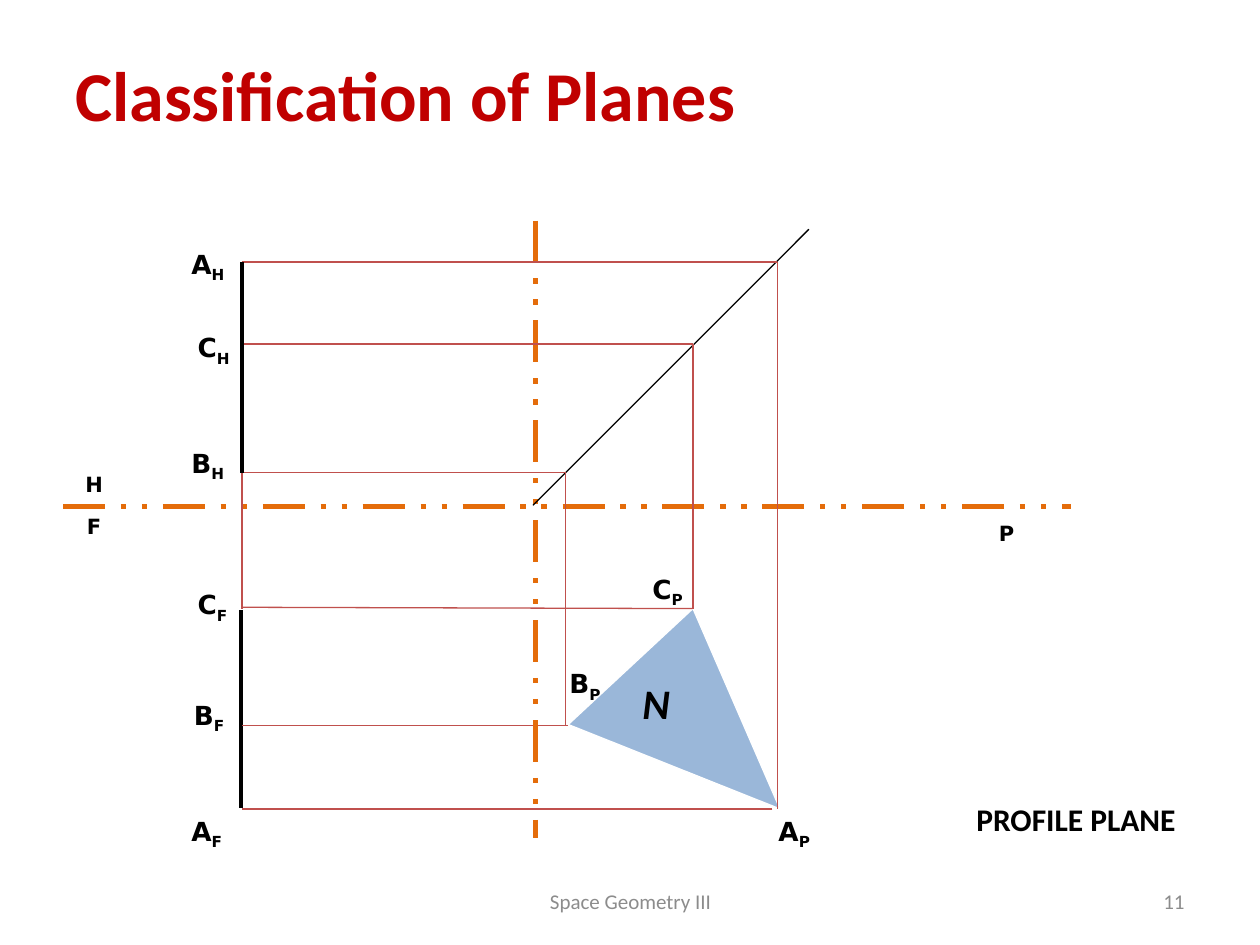
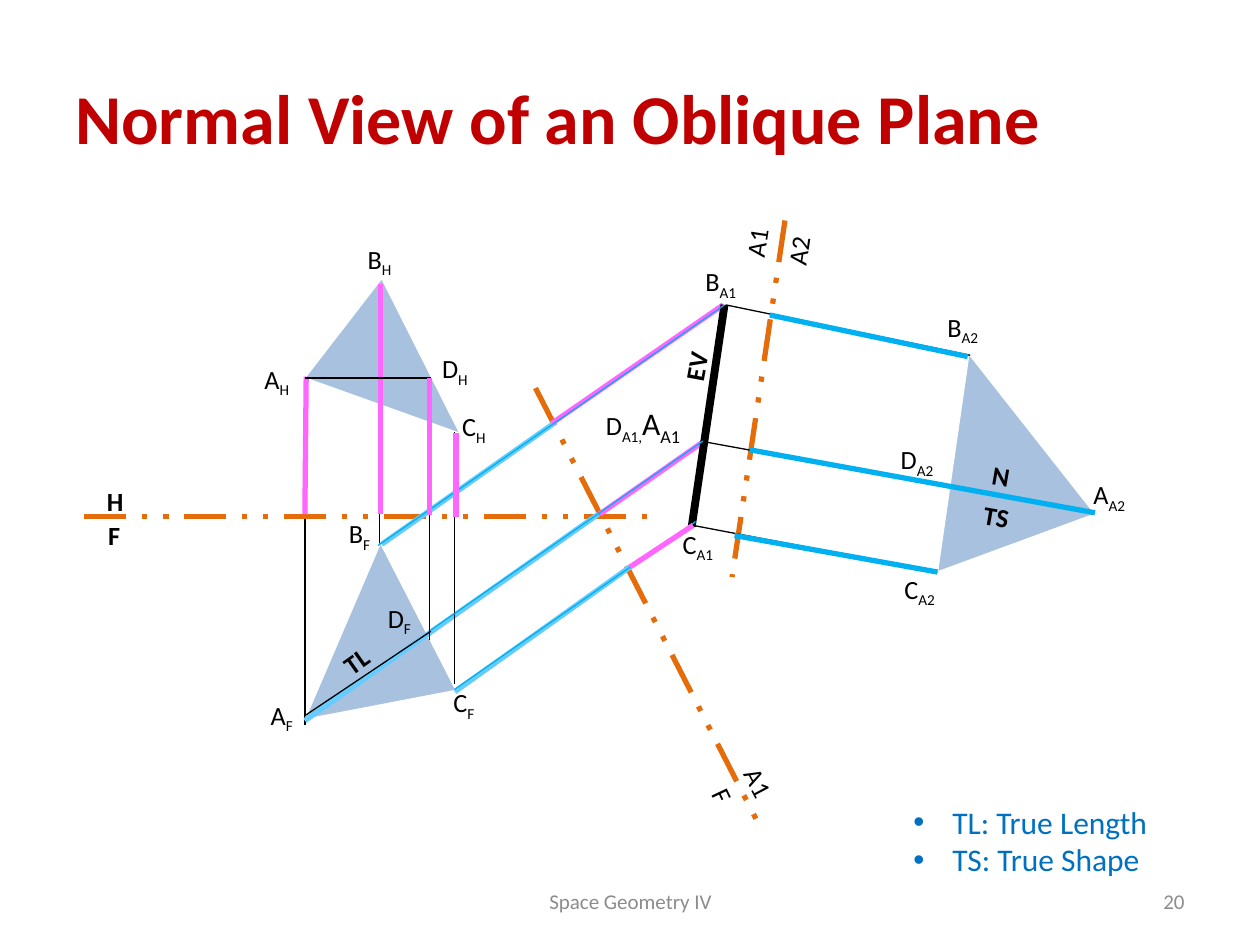
import lxml.etree
import pptx
import pptx.dml.color
import pptx.enum.dml
import pptx.enum.shapes
import pptx.enum.text
import pptx.oxml.ns
import pptx.util
from pptx.util import Inches

BLACK, RED, GREY = "000000", "C00000", "8C8C8C"
WHITE, PLANE, FOLD, PROJECTOR = "FFFFFF", "4F81BD", "E46C0A", "C0504D"
SKY, BLUE, PINK, LEGEND = "66CCFF", "00B0F0", "FF66FF", "0070C0"
ALIGN = pptx.enum.text.PP_ALIGN


def rgb(value):
    return pptx.dml.color.RGBColor.from_string(value)


def add_child(parent, tag, **attributes):
    return lxml.etree.SubElement(parent, pptx.oxml.ns.qn(tag), **attributes)


def add_span(para, text, size=15, font="Calibri", color=BLACK, bold=False, italic=False, sub=False):
    span = para.add_run()
    span.text = text
    span.font.size = pptx.util.Pt(size)
    span.font.name = font
    span.font.color.rgb = rgb(color)
    span.font.bold = bold
    span.font.italic = italic
    if sub:
        span._r.get_or_add_rPr().set("baseline", "-25000")


class Sketch:
    def __init__(self):
        self.deck = pptx.Presentation()
        self.deck.slide_width = Inches(10)
        self.deck.slide_height = Inches(7.5)
        self.page = None

    def new_page(self, title, top, height, footer, number):
        self.page = self.deck.slides.add_slide(self.deck.slide_layouts[6])
        self.text(title, 0.5, top, 9, height, wrap=True, middle=True, size=40, color=RED, bold=True)
        for words, left, width, align in ((footer, 3.42, 3.17, ALIGN.CENTER), (number, 7.17, 2.33, ALIGN.RIGHT)):
            self.text(words, left, 6.95, width, 0.4, align=align, wrap=True, middle=True, size=12, color=GREY)

    def box(self, left, top, width, height, wrap=False, middle=False, turn=0):
        box = self.page.shapes.add_textbox(Inches(left), Inches(top), Inches(width), Inches(height))
        box.rotation = turn
        frame = box.text_frame
        frame.word_wrap = wrap
        if middle:
            frame.vertical_anchor = pptx.enum.text.MSO_ANCHOR.MIDDLE
        else:
            frame.auto_size = pptx.enum.text.MSO_AUTO_SIZE.SHAPE_TO_FIT_TEXT
        return frame

    def text(self, words, left, top, width, height=0.35, align=ALIGN.LEFT, wrap=False, middle=False, turn=0, **style):
        para = self.box(left, top, width, height, wrap, middle, turn).paragraphs[0]
        para.alignment = align
        add_span(para, words, **style)

    def point(self, name, view, left, top, width, **style):
        para = self.box(left, top, width, 0.35).paragraphs[0]
        add_span(para, name, **style)
        add_span(para, view, sub=True, **style)

    def bullets(self, items, left, top, width, height, **style):
        frame = self.box(left, top, width, height, wrap=True)
        for index, item in enumerate(items):
            para = frame.add_paragraph() if index else frame.paragraphs[0]
            properties = para._p.get_or_add_pPr()
            properties.set("marL", str(Inches(0.31)))
            properties.set("indent", str(Inches(-0.31)))
            add_child(properties, "a:buFont", typeface="Arial")
            add_child(properties, "a:buChar", char="•")
            add_span(para, item, **style)

    def lines(self, color, weight, *segments, dashed=False):
        for segment in segments:
            line = self.page.shapes.add_connector(
                pptx.enum.shapes.MSO_CONNECTOR.STRAIGHT, *(Inches(value) for value in segment))
            line.line.color.rgb = rgb(color)
            line.line.width = pptx.util.Pt(weight)
            if dashed:
                line.line.dash_style = pptx.enum.dml.MSO_LINE.DASH_DOT_DOT
            add_child(line._element.spPr, "a:effectLst")

    def fold_lines(self, *segments):
        self.lines(FOLD, 3, *segments, dashed=True)

    def triangle(self, opacity, *corners):
        first, *others = [(Inches(x), Inches(y)) for x, y in corners]
        builder = self.page.shapes.build_freeform(*first)
        builder.add_line_segments(others, close=True)
        shape = builder.convert_to_shape()
        shape.shadow.inherit = False
        shape.fill.solid()
        shape.fill.fore_color.rgb = rgb(PLANE)
        shape.line.color.rgb = rgb(WHITE)
        shape.line.width = pptx.util.Pt(0.75)
        color = shape._element.spPr.xpath("./a:solidFill/a:srgbClr")[0]
        add_child(color, "a:alpha", val=str(opacity * 1000))


def draw_profile_plane(sketch):
    sketch.new_page("Classification of Planes", 0.33, 0.83, "Space Geometry III", "11")
    sketch.triangle(57, (6.19, 6.42), (5.5, 4.83), (4.51, 5.75))
    sketch.lines(BLACK, 2.25, (1.91, 4.84, 1.91, 6.41))
    edge = 1.92
    sketch.lines(PROJECTOR, 0.75, (5.5, 4.83, edge, 4.82), (6.13, 6.42, edge, 6.42), (4.51, 5.76, edge, 5.76))
    sketch.fold_lines((4.25, 1.75, 4.25, 6.65), (0.5, 4.02, 8.5, 4.02))
    sketch.lines(BLACK, 0.75, (4.23, 4.01, 6.42, 1.82))
    for x, top, bottom in ((5.5, 2.73, 4.83), (4.49, 3.75, 5.76), (6.17, 2.08, 6.42)):
        sketch.lines(PROJECTOR, 0.75, (x, bottom, x, top), (x, top, edge, top))
    sketch.lines(PROJECTOR, 0.75, (edge, 4.83, edge, 3.75))
    sketch.lines(BLACK, 2.25, (edge, 2.08, edge, 3.75))

    lettering = {"font": "DejaVu Sans", "bold": True}
    for view, left, top, width in (("F", 0.59, 4.03, 0.31), ("H", 0.58, 3.69, 0.34), ("P", 7.83, 4.08, 0.32)):
        sketch.text(view, left, top, width, 0.3, size=12, **lettering)
    for name, view, left, top, width in (
        ("A", "P", 6.08, 6.42, 0.47), ("C", "P", 5.08, 4.5, 0.46), ("B", "P", 4.42, 5.25, 0.47),
        ("B", "F", 1.44, 5.5, 0.45), ("C", "F", 1.47, 4.62, 0.45), ("A", "F", 1.42, 6.42, 0.46),
        ("C", "H", 1.47, 2.58, 0.47), ("B", "H", 1.42, 3.5, 0.48), ("A", "H", 1.42, 1.92, 0.48),
    ):
        sketch.point(name, view, left, top, width, **lettering)
    sketch.text("N", 5, 5.33, 0.42, 0.5, size=24, bold=True, italic=True)
    sketch.text("PROFILE PLANE", 7.64, 6.3, 1.8, 0.4, align=ALIGN.CENTER, size=18, bold=True)


def draw_oblique_plane(sketch):
    sketch.new_page("Normal View of an Oblique Plane", 0.3, 1.25, "Space Geometry IV", "20")
    sketch.lines(BLACK, 0.75, (3.01, 2.25, 3.01, 4.33), (2.42, 3, 2.42, 5.75))
    sketch.triangle(49, (2.42, 3), (3.03, 2.21), (3.65, 3.44))
    sketch.triangle(49, (3.02, 4.31), (3.62, 5.48), (2.42, 5.71))
    sketch.triangle(49, (7.69, 2.81), (7.44, 4.54), (8.69, 4.08))
    sketch.fold_lines((6.23, 1.75, 5.81, 4.58), (4.25, 3.08, 6, 6.5), (0.67, 4.1, 5.21, 4.1))

    for color, weight, segments in (
        (SKY, 3, [(3.03, 4.32, 4.41, 3.35), (2.42, 5.72, 4.75, 4.08), (3.61, 5.49, 5, 4.5)]),
        (BLACK, 0.75, [(5.76, 2.42, 7.7, 2.82), (5.61, 3.51, 8.68, 4.07), (5.5, 4.17, 7.44, 4.54)]),
        (BLUE, 3, [(6.11, 2.5, 7.68, 2.83), (5.95, 3.57, 8.69, 4.07), (5.83, 4.25, 7.44, 4.54)]),
        (PINK, 3, [(2.42, 4.08, 2.43, 2.99), (3.02, 2.25, 3.02, 4.08),
                   (4.38, 3.36, 5.74, 2.42), (4.76, 4.08, 5.59, 3.5)]),
        (BLACK, 4.5, [(5.75, 2.42, 5.49, 4.18)]),
        (BLACK, 0.75, [(3.42, 3, 2.42, 3), (3.61, 3.43, 3.61, 5.43),
                       (3.41, 3, 3.41, 5.08), (2.42, 5.68, 3.42, 5.01)]),
        (BLUE, 0.75, [(3.42, 5, 5.58, 3.5), (3, 4.33, 5.75, 2.42), (3.61, 5.47, 5.52, 4.14)]),
        (PINK, 3, [(3.41, 3, 3.41, 4.09), (3.62, 3.44, 3.62, 4.1), (5, 4.5, 5.5, 4.17)]),
    ):
        sketch.lines(color, weight, *segments)

    for name, view, left, top, width in (
        ("B", "H", 2.82, 1.88, 0.4), ("A", "H", 2, 2.83, 0.41),
        ("C", "H", 3.57, 3.21, 0.4), ("D", "H", 3.41, 2.75, 0.42),
        ("B", "F", 2.67, 4.06, 0.38), ("A", "F", 2.05, 5.5, 0.39),
        ("C", "F", 3.5, 5.4, 0.38), ("D", "F", 2.98, 4.73, 0.4),
        ("C", "A1", 5.32, 4.14, 0.47), ("B", "A1", 5.5, 2.06, 0.47),
        ("B", "A2", 7.42, 2.42, 0.47), ("C", "A2", 7.08, 4.5, 0.47),
        ("D", "A2", 7.05, 3.47, 0.48), ("A", "A2", 8.58, 3.75, 0.48),
    ):
        sketch.point(name, view, left, top, width)
    shared_point = sketch.box(4.71, 3.16, 0.85, 0.4).paragraphs[0]
    for words, size, sub in (("D", 15, False), ("A1,", 15, True), ("A", 18, False), ("A1", 18, True)):
        add_span(shared_point, words, size=size, sub=sub)

    for words, left, top, width, turn, bold in (
        ("H", 0.75, 3.8, 0.34, 0, True), ("F", 0.76, 4.07, 0.3, 0, True),
        ("F", 5.58, 6.16, 0.33, 64.8, False), ("A1", 5.79, 6.07, 0.5, 62.1, False),
        ("A1", 5.79, 1.75, 0.43, 278.4, False), ("A2", 6.12, 1.81, 0.43, 278.4, False),
        ("N", 7.78, 3.6, 0.34, 9.8, True), ("TS", 7.71, 3.92, 0.4, 9.8, True),
        ("TL", 2.63, 5.07, 0.39, 324.8, True), ("EV", 5.31, 2.73, 0.43, 280.5, True),
    ):
        sketch.text(words, left, top, width, turn=turn, bold=bold)
    sketch.bullets(("TL: True Length", "TS: True Shape"), 7.15, 6.32, 2.17, 0.71, size=18, color=LEGEND)


def main():
    sketch = Sketch()
    draw_profile_plane(sketch)
    draw_oblique_plane(sketch)
    sketch.deck.save("out.pptx")


if __name__ == "__main__":
    main()
